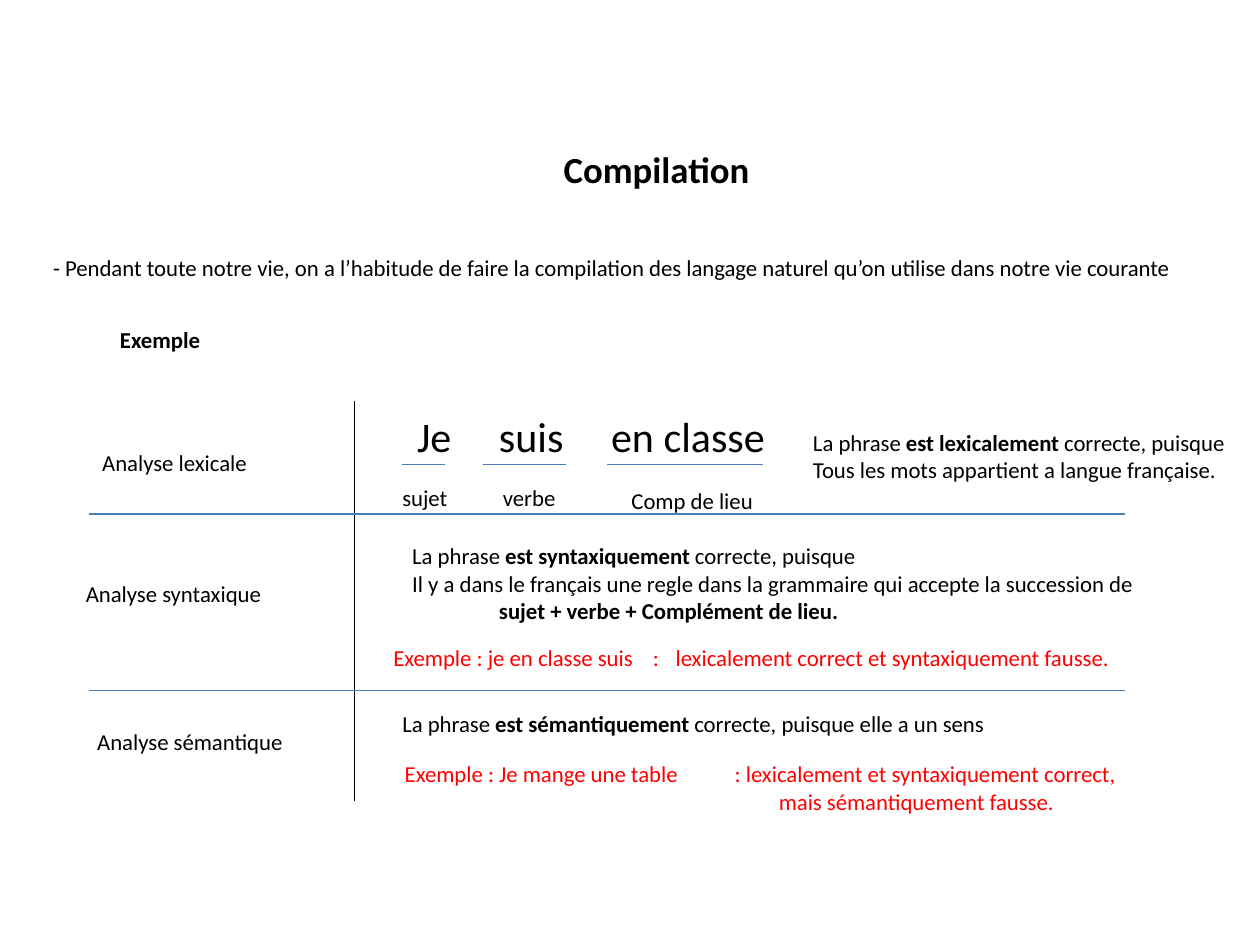
from lxml import etree
from pptx import Presentation
from pptx.dml.color import RGBColor
from pptx.enum.shapes import MSO_CONNECTOR
from pptx.enum.text import MSO_AUTO_SIZE, PP_ALIGN
from pptx.oxml.ns import qn
from pptx.util import Cm, Pt

STRAIGHT = MSO_CONNECTOR.STRAIGHT
GROW = MSO_AUTO_SIZE.SHAPE_TO_FIT_TEXT
CENTER = PP_ALIGN.CENTER

BLACK, RED, BLUE = "000000", "FF0000", "4A7EBB"
LINE_HEIGHT = 0.71
INSET = 0.13
WORD_LINE_Y = 9.37
TABLE_LEFT, TABLE_RIGHT = 1.8, 22.68


def color(hex_value):
    return RGBColor.from_string(hex_value)


def set_indent(para, indent):
    para._p.get_or_add_pPr().set("marL", str(Cm(indent)))


def set_tabs(para, stops):
    tab_list = etree.SubElement(para._p.get_or_add_pPr(), qn("a:tabLst"))
    for stop in stops:
        etree.SubElement(tab_list, qn("a:tab"), pos=str(Cm(stop)), algn="l")


def add_spans(para, text, size, hex_value):
    """Fill a paragraph; text between ** marks is bold."""
    for number, part in enumerate(text.split("**")):
        if not part:
            continue
        span = para.add_run()
        span.text = part
        font_format = {"name": "Calibri", "size": Pt(size), "bold": number % 2 == 1}
        for name, value in font_format.items():
            setattr(span.font, name, value)
        span.font.color.rgb = color(hex_value)


def add_text(page, left, top, width, lines, height=LINE_HEIGHT, size=13,
             hex_value=BLACK, align=None, tabs=(), indents=(), wrap=False):
    """Add a text box; indents maps onto the lines in order."""
    box = page.shapes.add_textbox(Cm(left), Cm(top), Cm(width), Cm(height))
    frame = box.text_frame
    frame_format = {"word_wrap": wrap, "auto_size": GROW}
    for side in ("left", "top", "right", "bottom"):
        frame_format[f"margin_{side}"] = Cm(INSET)
    for name, value in frame_format.items():
        setattr(frame, name, value)
    for number, line in enumerate(lines):
        para = frame.add_paragraph() if number else frame.paragraphs[0]
        para.alignment = align
        if number < len(indents) and indents[number]:
            set_indent(para, indents[number])
        if tabs and "\t" in line:
            set_tabs(para, tabs)
        add_spans(para, line, size, hex_value)


def add_line(page, x1, y1, x2, y2, hex_value=BLUE):
    line = page.shapes.add_connector(STRAIGHT, Cm(x1), Cm(y1), Cm(x2), Cm(y2))
    line.line.color.rgb = color(hex_value)
    line.line.width = Pt(0.75)
    etree.SubElement(line._element.spPr, qn("a:effectLst"))


def add_heading(page):
    add_text(page, 8.41, 2.82, 9.65, ["**Compilation**"], height=1.02, size=21,
             align=CENTER, wrap=True)
    add_text(page, 0.94, 4.98, 22.83,
             ["- Pendant toute notre vie, on a l’habitude de faire la compilation "
              "des langage naturel qu’on utilise dans notre vie courante"])
    add_text(page, 2.29, 6.43, 1.9, ["**Exemple**"])


def add_grid(page):
    add_line(page, 7.14, 8.08, 7.14, 16.15, BLACK)
    for y in (10.36, 13.92):
        add_line(page, TABLE_LEFT, y, TABLE_RIGHT, y)
    for left, top, width, label in (
        (1.93, 8.92, 3.2, "Analyse lexicale"),
        (1.6, 11.56, 3.84, "Analyse syntaxique"),
        (1.83, 14.55, 4.04, "Analyse sémantique"),
    ):
        add_text(page, left, top, width, [label])


def add_lexical_row(page):
    add_text(page, 8.28, 8.15, 9.02, ["Je\tsuis\ten classe"], height=1.09,
             size=24, tabs=(1.65, 3.91), wrap=True)
    for start, end in ((8.1, 8.97), (9.73, 11.4), (12.24, 15.39)):
        add_line(page, start, WORD_LINE_Y, end, WORD_LINE_Y)
    for left, top, width, role in (
        (7.98, 9.63, 1.19, "sujet"),
        (10.01, 9.63, 1.35, "verbe"),
        (12.6, 9.68, 2.74, "Comp de lieu"),
    ):
        add_text(page, left, top, width, [role])
    add_text(page, 16.26, 8.51, 8.71,
             ["La phrase **est lexicalement **correcte, puisque",
              "Tous les mots appartient a langue française."], height=1.27)


def add_syntactic_row(page):
    add_text(page, 8.18, 10.8, 15.04,
             ["La phrase **est syntaxiquement **correcte, puisque",
              "Il y a dans le français une regle dans la grammaire qui accepte "
              "la succession de",
              "**sujet + verbe + Complément de lieu.**"],
             height=1.85, indents=(0, 0, 1.75))
    add_text(page, 7.8, 12.85, 14.73,
             ["Exemple : je en classe suis\t:\tlexicalement correct et "
              "syntaxiquement fausse."],
             hex_value=RED, tabs=(5.23, 5.69), wrap=True)


def add_semantic_row(page):
    add_text(page, 7.98, 14.17, 12.47,
             ["La phrase **est sémantiquement **correcte, puisque elle a un sens"])
    add_text(page, 8.03, 15.19, 14.63,
             ["Exemple : Je mange une table\t: lexicalement et syntaxiquement correct,",
              "mais sémantiquement fausse."],
             height=1.27, hex_value=RED, tabs=(6.65,), indents=(0, 7.54), wrap=True)


def main():
    deck = Presentation()
    deck.slide_width, deck.slide_height = Cm(25.4), Cm(19.05)
    page = deck.slides.add_slide(deck.slide_layouts[6])
    add_heading(page)
    add_grid(page)
    add_lexical_row(page)
    add_syntactic_row(page)
    add_semantic_row(page)
    deck.save("out.pptx")


if __name__ == "__main__":
    main()
